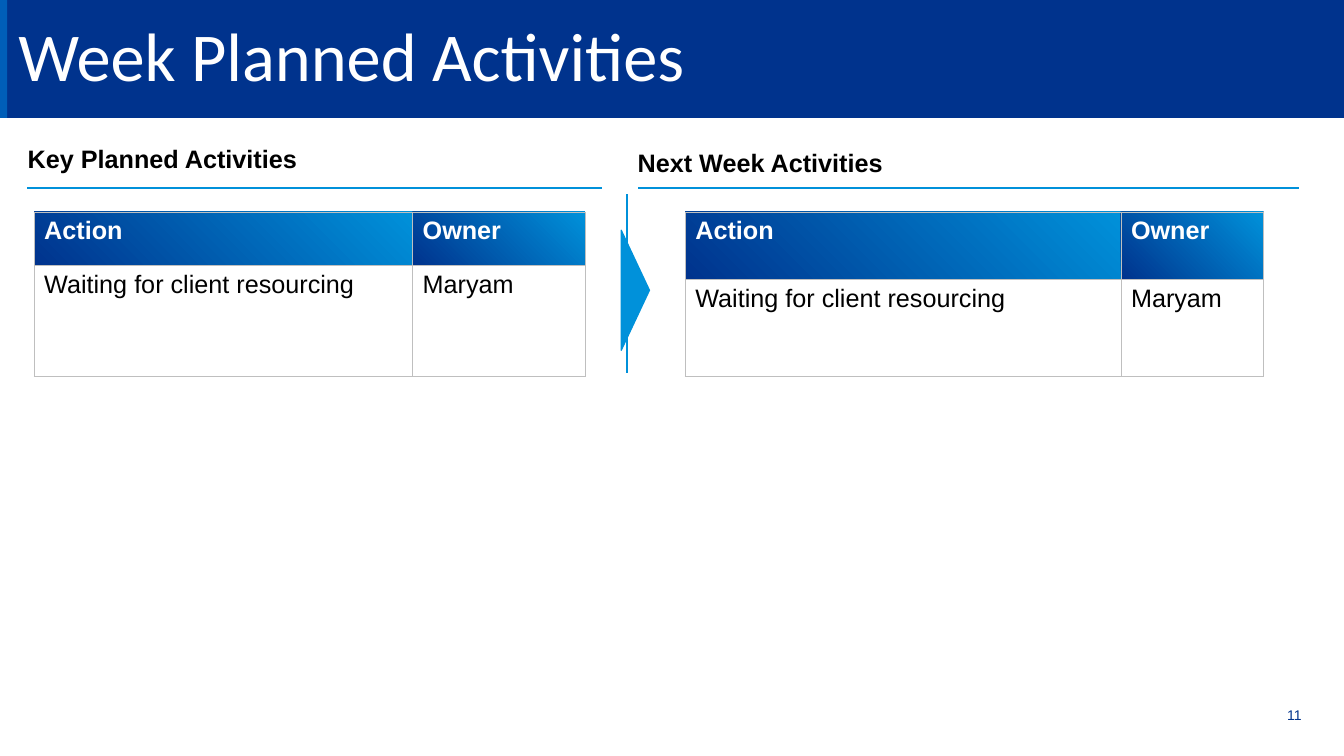
import lxml.etree
import pptx
import pptx.dml.color
import pptx.enum.shapes
import pptx.enum.text
import pptx.oxml.ns
import pptx.util

Cm = pptx.util.Cm
Pt = pptx.util.Pt
SHAPES = pptx.enum.shapes.MSO_SHAPE
ALIGN = pptx.enum.text.PP_ALIGN
ANCHOR = pptx.enum.text.MSO_ANCHOR
NAVY, BLUE, SKY = "00338D", "005EB8", "0091DA"
GREY, WHITE, BLACK = "BFBFBF", "FFFFFF", "000000"
BORDER_XML = (
    '<a:{side} xmlns:a="http://schemas.openxmlformats.org/drawingml/2006/main" w="6350">'
    '<a:solidFill><a:srgbClr val="{colour}"/></a:solidFill></a:{side}>'
)


def rgb(colour):
    return pptx.dml.color.RGBColor.from_string(colour)


def write(frame, text, size=18, font="Arial", colour=BLACK, bold=False,
          align=ALIGN.LEFT, spacing=None):
    para = frame.paragraphs[0]
    para.alignment = align
    para.line_spacing = spacing
    span = para.add_run()
    span.text = text
    span.font.size = Pt(size)
    span.font.name = font
    span.font.bold = bold
    span.font.color.rgb = rgb(colour)


def add_box(slide, text, left, top, width, height, inset=None,
            anchor=ANCHOR.TOP, **style):
    box = slide.shapes.add_textbox(Cm(left), Cm(top), Cm(width), Cm(height))
    frame = box.text_frame
    frame.word_wrap = True
    frame.vertical_anchor = anchor
    if inset is not None:
        set_insets(frame, inset)
    write(frame, text, **style)


def set_insets(frame, inset):
    frame.margin_left = frame.margin_right = Cm(inset)
    frame.margin_top = frame.margin_bottom = Cm(inset)


def add_block(slide, kind, left, top, width, height, colour, rotation=0):
    block = slide.shapes.add_shape(kind, Cm(left), Cm(top), Cm(width), Cm(height))
    block.shadow.inherit = False
    block.rotation = rotation
    block.fill.solid()
    block.fill.fore_color.rgb = rgb(colour)
    block.line.fill.background()
    return block


def add_rule(slide, left, top, right, bottom):
    rule = slide.shapes.add_connector(
        pptx.enum.shapes.MSO_CONNECTOR.STRAIGHT,
        Cm(left), Cm(top), Cm(right), Cm(bottom))
    rule.line.color.rgb = rgb(SKY)
    rule.line.width = Pt(1.5)
    lxml.etree.SubElement(rule.element.spPr, pptx.oxml.ns.qn("a:effectLst"))


def format_cell(cell, text, header):
    properties = cell._tc.get_or_add_tcPr()
    for side in ("lnL", "lnR", "lnT", "lnB"):
        properties.append(pptx.oxml.parse_xml(
            BORDER_XML.format(side=side, colour=GREY)))
    if header:
        cell.fill.gradient()
        cell.fill.gradient_angle = 45
        for stop, colour in zip(cell.fill.gradient_stops, (NAVY, SKY)):
            stop.color.rgb = rgb(colour)
    else:
        cell.fill.background()
    write(cell.text_frame, text, bold=header, colour=WHITE if header else BLACK)


def add_activities(slide, left, top, widths, heights, rows):
    table = slide.shapes.add_table(
        len(rows), len(widths), Cm(left), Cm(top),
        Cm(sum(widths)), Cm(sum(heights))).table
    for column, width in zip(table.columns, widths):
        column.width = Cm(width)
    for index, (height, texts) in enumerate(zip(heights, rows)):
        table.rows[index].height = Cm(height)
        for position, text in enumerate(texts):
            format_cell(table.cell(index, position), text, header=index == 0)


def add_title(slide, text):
    banner = add_block(slide, SHAPES.RECTANGLE, 0, -0.03, 33.87, 3, NAVY)
    title = slide.shapes.title
    banner.element.addnext(title.element)
    title.left, title.top, title.width, title.height = Cm(0.46), Cm(0.9), Cm(22.66), Cm(1.17)
    frame = title.text_frame
    frame.auto_size = pptx.enum.text.MSO_AUTO_SIZE.NONE
    frame.vertical_anchor = ANCHOR.TOP
    set_insets(frame, 0)
    write(frame, text, size=48.9, font="Calibri", colour=WHITE, spacing=0.7)
    add_block(slide, SHAPES.RECTANGLE, 0, -0.03, 0.18, 3, BLUE)


def main():
    """Build the weekly planned activities slide."""
    deck = pptx.Presentation()
    deck.slide_width, deck.slide_height = Cm(33.87), Cm(19.05)
    slide = deck.slides.add_slide(deck.slide_layouts[5])
    add_title(slide, "Week Planned Activities")

    rows = [("Action", "Owner"), ("Waiting for client resourcing", "Maryam")]
    add_activities(slide, 0.86, 5.34, (9.54, 4.34), (1.35, 2.79), rows)
    add_activities(slide, 17.27, 5.34, (10.98, 3.58), (1.7, 2.44), rows)

    add_box(slide, "Key Planned Activities", 0.45, 3.48, 13.03, 1.02, bold=True)
    add_box(slide, "Next Week Activities", 15.82, 3.58, 13.03, 1.02, bold=True)
    add_rule(slide, 0.69, 4.73, 15.16, 4.73)
    add_rule(slide, 16.08, 4.73, 32.74, 4.73)
    add_rule(slide, 15.81, 4.9, 15.81, 9.4)
    arrow = add_block(slide, SHAPES.ISOSCELES_TRIANGLE, 14.5, 6.96, 3.02, 0.71, SKY, rotation=90)
    arrow.line.color.rgb = rgb(SKY)
    arrow.line.width = Pt(1)

    add_box(slide, "11", 28.35, 17.83, 4.45, 0.41, inset=0, anchor=ANCHOR.BOTTOM,
            size=10, colour=NAVY, align=ALIGN.RIGHT)
    deck.save("out.pptx")


if __name__ == "__main__":
    main()
